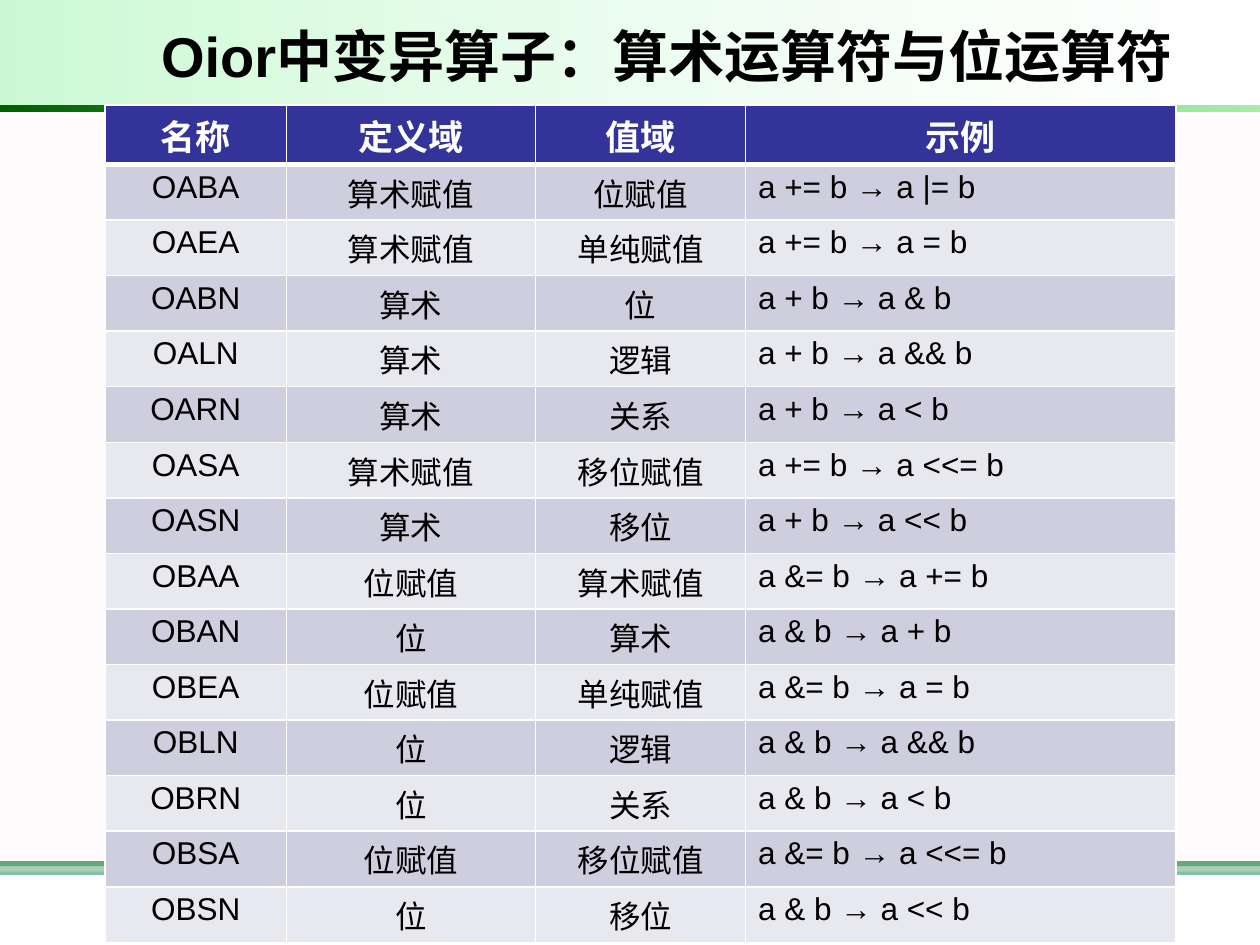
from pptx import Presentation
from pptx.dml.color import RGBColor
from pptx.enum.shapes import MSO_SHAPE as Shape
from pptx.enum.text import MSO_ANCHOR as Anchor, PP_ALIGN as Align
from pptx.oxml.ns import qn
from pptx.util import Pt
from lxml.etree import SubElement

TITLE = "Oior中变异算子：算术运算符与位运算符"
HEADER = ("名称", "定义域", "值域", "示例")
OPERATORS = [
    ("OABA", "算术赋值", "位赋值", "a += b → a |= b"),
    ("OAEA", "算术赋值", "单纯赋值", "a += b → a = b"),
    ("OABN", "算术", "位", "a + b → a & b"),
    ("OALN", "算术", "逻辑", "a + b → a && b"),
    ("OARN", "算术", "关系", "a + b → a < b"),
    ("OASA", "算术赋值", "移位赋值", "a += b → a <<= b"),
    ("OASN", "算术", "移位", "a + b → a << b"),
    ("OBAA", "位赋值", "算术赋值", "a &= b → a += b"),
    ("OBAN", "位", "算术", "a & b → a + b"),
    ("OBEA", "位赋值", "单纯赋值", "a &= b → a = b"),
    ("OBLN", "位", "逻辑", "a & b → a && b"),
    ("OBRN", "位", "关系", "a & b → a < b"),
    ("OBSA", "位赋值", "移位赋值", "a &= b → a <<= b"),
    ("OBSN", "位", "移位", "a & b → a << b"),
]
COLORS = {
    "white": "FFFFFF", "black": "000000", "header": "333399",
    "odd": "CECEDE", "even": "E8E8EF",
    "green": "008000", "sea": "339966", "blush": "FFF0F5",
    "mint": "09E733", "bright": "00CC00", "forest": "006000",
}
# Bands: left, top, width, height, then (colour, opacity %) for each stop
BANDS = [
    (0, 492.1, 720, 2.9, [("green", 100)]),
    (0, 492.1, 720, 7.9, [("sea", 60)]),
    (0, 66.2, 720, 432, [("blush", 30)]),
    (0, 0, 719.3, 59.8, [("white", 10), ("mint", 21)]),
    (0, 60.1, 720, 3.8, [("bright", 35), ("forest", 100)]),
]
TABLE_LEFT, TABLE_TOP = 60, 60
HEADER_HEIGHT, ROW_HEIGHT = 34, 31.76
COLUMN_WIDTHS = (103.7, 142.3, 120, 246)


def rgb(name):
    return RGBColor.from_string(COLORS[name])


def add_band(page, left, top, width, height, stops):
    band = page.shapes.add_shape(Shape.RECTANGLE, Pt(left), Pt(top), Pt(width), Pt(height))
    band.shadow.inherit = False
    band.line.fill.background()
    if len(stops) == 1:
        band.fill.solid()
        band.fill.fore_color.rgb = rgb(stops[0][0])
    else:
        band.rotation = 180
        band.fill.gradient()
        band.fill.gradient_angle = 0
        for stop, (color, _) in zip(band.fill.gradient_stops, stops):
            stop.color.rgb = rgb(color)
    tags = band._element.spPr.iter(qn("a:srgbClr"))
    for tag, (_, opacity) in zip(list(tags), stops):
        if opacity < 100:
            SubElement(tag, qn("a:alpha"), val=str(opacity * 1000))


def add_borders(cell, bottom):
    props = cell._tc.get_or_add_tcPr()
    for side, width in (("L", 1), ("R", 1), ("T", 1), ("B", bottom)):
        line = SubElement(props, qn(f"a:ln{side}"), w=str(Pt(width)))
        fill = SubElement(line, qn("a:solidFill"))
        SubElement(fill, qn("a:srgbClr"), val=COLORS["white"])


def style_font(font, size, color, bold=False):
    font.name, font.size, font.bold = "Arial", Pt(size), bold
    font.color.rgb = rgb(color)


def fill_cell(cell, text, row):
    is_header = row == 0
    add_borders(cell, 3 if is_header else 1)
    cell.fill.solid()
    cell.fill.fore_color.rgb = rgb("header" if is_header else "odd" if row % 2 else "even")
    cell.margin_left = cell.margin_right = Pt(7.2)
    cell.margin_top = cell.margin_bottom = Pt(3)
    para = cell.text_frame.paragraphs[0]
    para.alignment = Align.LEFT if "→" in text else Align.CENTER
    para.space_before = para.space_after = Pt(3)
    for part in filter(None, text.partition("→")):
        span = para.add_run()
        span.text = part
        if is_header:
            style_font(span.font, 20, "white", bold=True)
        else:
            style_font(span.font, 18, "black")
        if part == "→":
            span.font.name = "Times New Roman"


def main():
    deck = Presentation()
    deck.slide_width, deck.slide_height = Pt(720), Pt(540)
    page = deck.slides.add_slide(deck.slide_layouts[6])

    # Background bands
    for band in BANDS:
        add_band(page, *band)

    # Title
    box = page.shapes.add_textbox(Pt(85), Pt(5.8), Pt(604.8), Pt(51))
    frame = box.text_frame
    frame.word_wrap = True
    frame.vertical_anchor = Anchor.MIDDLE
    para = frame.paragraphs[0]
    para.text = TITLE
    style_font(para.font, 32, "black", bold=True)

    # Operator table
    rows = [HEADER] + OPERATORS
    heights = [HEADER_HEIGHT] + [ROW_HEIGHT] * len(OPERATORS)
    table = page.shapes.add_table(
        len(rows), len(HEADER), Pt(TABLE_LEFT), Pt(TABLE_TOP),
        Pt(sum(COLUMN_WIDTHS)), Pt(sum(heights))).table
    for column, width in zip(table.columns, COLUMN_WIDTHS):
        column.width = Pt(width)
    for row, (texts, height) in enumerate(zip(rows, heights)):
        table.rows[row].height = Pt(height)
        for column, text in enumerate(texts):
            fill_cell(table.cell(row, column), text, row)

    deck.save("out.pptx")


if __name__ == "__main__":
    main()
